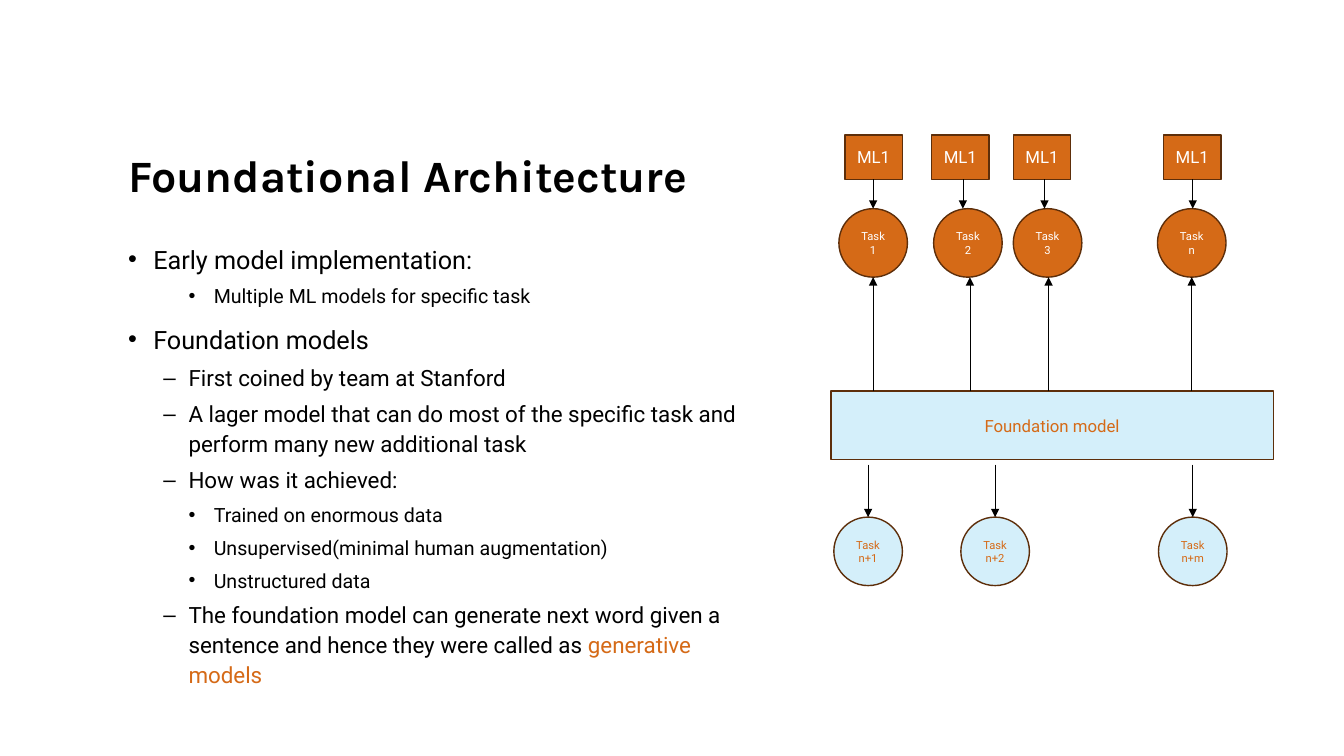
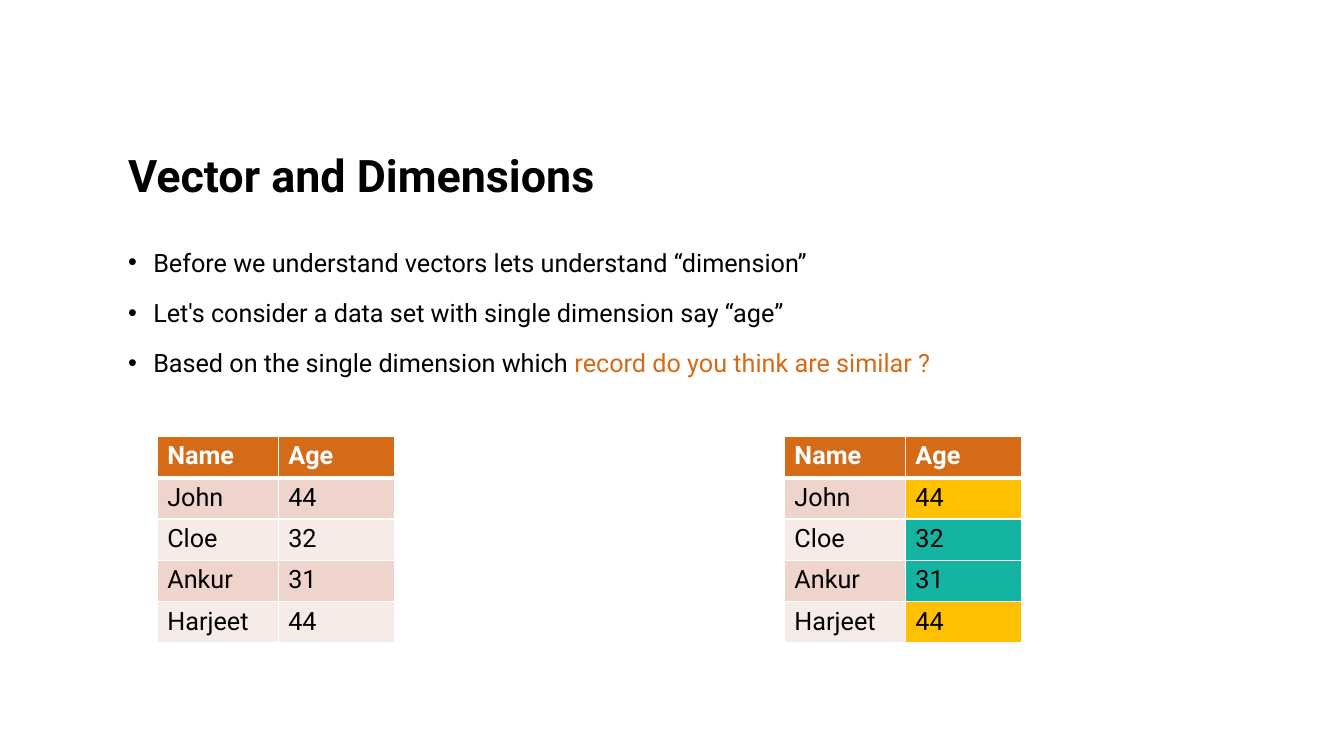
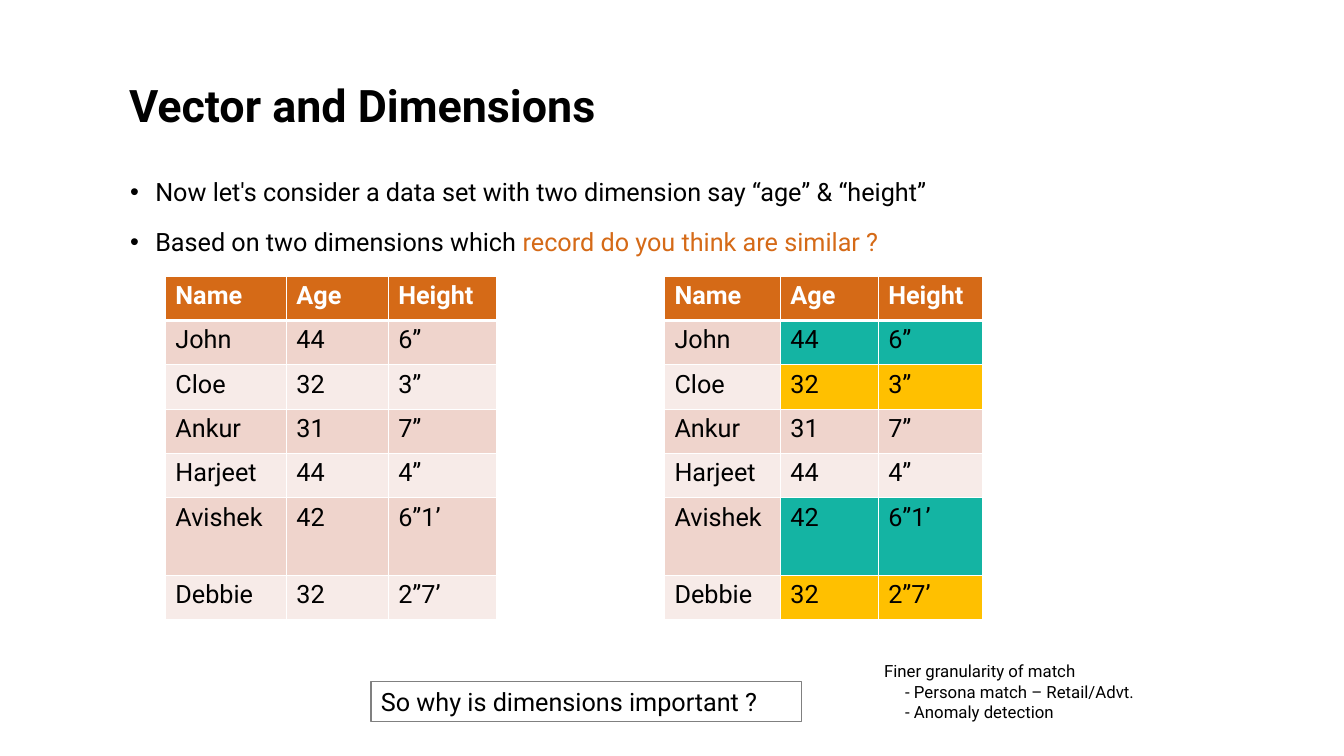
from lxml import etree
from pptx import Presentation
from pptx.dml.color import RGBColor
from pptx.enum import shapes, text
from pptx.oxml import ns
from pptx.util import Inches, Pt

BLACK = RGBColor(0x00, 0x00, 0x00)
WHITE = RGBColor(0xFF, 0xFF, 0xFF)
GRAY = RGBColor(0x80, 0x80, 0x80)
ORANGE = RGBColor(0xD5, 0x6A, 0x17)
BROWN = RGBColor(0x5D, 0x2E, 0x0A)
SKY = RGBColor(0xD4, 0xEF, 0xFA)
ROSE = RGBColor(0xEF, 0xD4, 0xCC)
BLUSH = RGBColor(0xF7, 0xEB, 0xE8)
GOLD = RGBColor(0xFF, 0xC0, 0x00)
TEAL = RGBColor(0x14, 0xB4, 0xA3)

RECT = shapes.MSO_SHAPE.RECTANGLE
OVAL = shapes.MSO_SHAPE.OVAL


def add_xml(parent, tag, **attrs):
    return etree.SubElement(parent, ns.qn(tag), attrs)


class Deck:
    FONT = "Roboto"
    LEVELS = [(0.25, 18, 10, "•"), (0.6, 16, 5, "–"), (0.85, 14, 5, "•")]

    def __init__(self):
        self.prs = Presentation()
        self.prs.slide_width = Inches(13.33)
        self.prs.slide_height = Inches(7.5)

    def place(self, sp, x, y, w, h):
        sp.left, sp.top, sp.width, sp.height = map(Inches, (x, y, w, h))

    def style(self, p, size, color=BLACK, bold=False, font=FONT):
        f = p.font
        f.name, f.size, f.bold = font, Pt(size), bold
        f.color.rgb = color

    def slide(self, title, x, y, font=FONT):
        self.s = self.prs.slides.add_slide(self.prs.slide_layouts[1])
        sp = self.s.shapes.title
        self.place(sp, x, y, 9.72, 1.04)
        tf = sp.text_frame
        tf.text = title
        tf.auto_size = text.MSO_AUTO_SIZE.NONE
        tf.vertical_anchor = text.MSO_ANCHOR.BOTTOM
        p = tf.paragraphs[0]
        p.alignment = text.PP_ALIGN.LEFT
        p.line_spacing = 0.9
        self.style(p, 32, bold=True, font=font)

    def bullets(self, x, y, w, h, items, spacing=1.2):
        sp = self.s.placeholders[1]
        self.place(sp, x, y, w, h)
        tf = sp.text_frame
        tf.auto_size = text.MSO_AUTO_SIZE.NONE
        for i, (level, words, *accent) in enumerate(items):
            p = tf.add_paragraph() if i else tf.paragraphs[0]
            margin, size, before, mark = self.LEVELS[level]
            p.level = level
            p.line_spacing = spacing
            p.space_before = Pt(before)
            pPr = p._p.get_or_add_pPr()
            pPr.set("marL", str(Inches(margin)))
            pPr.set("indent", str(Inches(-0.25)))
            add_xml(pPr, "a:buChar", char=mark)
            self.style(p, size)
            p.add_run().text = words
            for part in accent:
                r = p.add_run()
                r.text = part
                r.font.color.rgb = ORANGE

    def node(self, kind, x, y, w, h, lines, size, fill, color):
        sp = self.s.shapes.add_shape(kind, *map(Inches, (x, y, w, h)))
        sp.shadow.inherit = False
        sp.fill.solid()
        sp.fill.fore_color.rgb = fill
        sp.line.color.rgb = BROWN
        sp.line.width = Pt(1)
        tf = sp.text_frame
        tf.margin_left = tf.margin_right = 0
        tf.vertical_anchor = text.MSO_ANCHOR.MIDDLE
        p = tf.paragraphs[0]
        p.alignment = text.PP_ALIGN.CENTER
        self.style(p, size, color)
        for i, line in enumerate(lines):
            if i:
                p.add_line_break()
            p.add_run().text = line

    def task(self, x, y, label, fill, color):
        self.node(OVAL, x, y, 0.68, 0.68, ["Task", label], 8, fill, color)

    def arrow(self, x, y1, y2):
        c = self.s.shapes.add_connector(
            shapes.MSO_CONNECTOR.STRAIGHT, *map(Inches, (x, y1, x, y2)))
        c.line.color.rgb = BLACK
        c.line.width = Pt(0.5)
        add_xml(c.line._get_or_add_ln(), "a:tailEnd", type="triangle")
        add_xml(c._element.spPr, "a:effectLst")

    def border(self, cell, row):
        tcPr = cell._tc.get_or_add_tcPr()
        thick = {"B": 3} if row == 0 else {"T": 3} if row == 1 else {}
        for i, side in enumerate("LRTB"):
            ln = add_xml(tcPr, "a:ln" + side, w=str(Pt(thick.get(side, 1))))
            add_xml(add_xml(ln, "a:solidFill"), "a:srgbClr", val=str(WHITE))
            tcPr.insert(i, ln)

    def table(self, x, y, cols, heights, rows, marks):
        frame = self.s.shapes.add_table(
            len(rows), len(cols),
            *map(Inches, (x, y, sum(cols), sum(heights))))
        tbl = frame.table
        for col, w in zip(tbl.columns, cols):
            col.width = Inches(w)
        for i, (row, h) in enumerate(zip(rows, heights)):
            tbl.rows[i].height = Inches(h)
            band = ORANGE if i == 0 else ROSE if i % 2 else BLUSH
            for j, value in enumerate(row):
                cell = tbl.cell(i, j)
                cell.text = value
                cell.fill.solid()
                cell.fill.fore_color.rgb = marks.get(i, band) if j else band
                self.border(cell, i)
                self.style(cell.text_frame.paragraphs[0], 18,
                           BLACK if i else WHITE, bold=i == 0)

    def note(self, x, y, w, h, lines, size, outline=None):
        sp = self.s.shapes.add_textbox(*map(Inches, (x, y, w, h)))
        if outline is not None:
            sp.line.color.rgb = outline
            sp.line.width = Pt(0.75)
        tf = sp.text_frame
        tf.word_wrap = True
        for i, line in enumerate(lines):
            p = tf.add_paragraph() if i else tf.paragraphs[0]
            p.text = line
            if i:
                p._p.get_or_add_pPr().set("marL", str(Inches(0.21)))
            self.style(p, size)


def architecture(d):
    d.slide("Foundational Architecture", 1.17, 1.02, "Karla")
    d.bullets(1.17, 2.34, 6.29, 4.64, [
        (0, "Early model implementation:"),
        (2, "Multiple ML models for specific task"),
        (0, "Foundation models"),
        (1, "First coined by team at Stanford"),
        (1, "A lager model that can do most of the specific task and "
            "perform many new additional task"),
        (1, "How was it achieved:"),
        (2, "Trained on enormous data"),
        (2, "Unsupervised(minimal human augmentation)"),
        (2, "Unstructured data"),
        (1, "The foundation model can generate next word given a sentence "
            "and hence they were called as ", "generative models"),
    ], 1.1)
    d.node(RECT, 8.24, 3.88, 4.39, 0.68, ["Foundation model"], 12, SKY, ORANGE)
    for label, model_x, task_x, down_x, up_x in [
            ("1", 8.38, 8.32, 8.66, 8.66),
            ("2", 9.24, 9.26, 9.55, 9.62),
            ("3", 10.05, 10.05, 10.36, 10.4),
            ("n", 11.54, 11.48, 11.83, 11.82)]:
        d.node(RECT, model_x, 1.34, 0.57, 0.44, ["ML1"], 12, ORANGE, WHITE)
        d.task(task_x, 2.07, label, ORANGE, WHITE)
        d.arrow(down_x, 1.78, 2.07)
        d.arrow(up_x, 3.88, 2.75)
    for label, x in [("n+1", 8.27), ("n+2", 9.53), ("n+m", 11.49)]:
        d.task(x, 5.13, label, SKY, ORANGE)
        d.arrow(x + 0.34, 4.61, 5.13)


def one_dimension(d):
    d.slide("Vector and Dimensions", 1.17, 1.02)
    d.bullets(1.17, 2.34, 8.57, 4.02, [
        (0, "Before we understand vectors lets understand “dimension”"),
        (0, "Let's consider a data set with single dimension say “age”"),
        (0, "Based on the single dimension which ",
         "record do you think are similar ?"),
    ])
    rows = [("Name", "Age"), ("John", "44"), ("Cloe", "32"),
            ("Ankur", "31"), ("Harjeet", "44")]
    groups = {1: GOLD, 2: TEAL, 3: TEAL, 4: GOLD}
    for x, marks in [(1.56, {}), (7.78, groups)]:
        d.table(x, 4.33, [1.2, 1.15], [0.41] * 5, rows, marks)


def two_dimensions(d):
    d.slide("Vector and Dimensions", 1.18, 0.32)
    d.bullets(1.19, 1.64, 8.57, 4.02, [
        (0, "Now let's consider a data set with two dimension say "
            "“age” & “height”"),
        (0, "Based on two dimensions which ",
         "record do you think are similar ?"),
    ])
    rows = [("Name", "Age", "Height"), ("John", "44", "6”"),
            ("Cloe", "32", "3”"), ("Ankur", "31", "7”"),
            ("Harjeet", "44", "4”"), ("Avishek", "42", "6”1’"),
            ("Debbie", "32", "2”7’")]
    heights = [0.44] * 5 + [0.77, 0.44]
    groups = {1: TEAL, 2: GOLD, 5: TEAL, 6: GOLD}
    for x, cols, marks in [(1.64, [1.2, 1.01, 1.08], {}),
                           (6.59, [1.15, 0.97, 1.04], groups)]:
        d.table(x, 2.74, cols, heights, rows, marks)
    d.note(3.68, 6.76, 4.27, 0.4, ["So why is dimensions important ?"], 18, GRAY)
    d.note(8.67, 6.51, 4.47, 0.91, [
        "Finer granularity of match",
        "- Persona match – Retail/Advt.",
        "- Anomaly detection"], 12)


def main():
    d = Deck()
    architecture(d)
    one_dimension(d)
    two_dimensions(d)
    d.prs.save("out.pptx")


if __name__ == "__main__":
    main()
